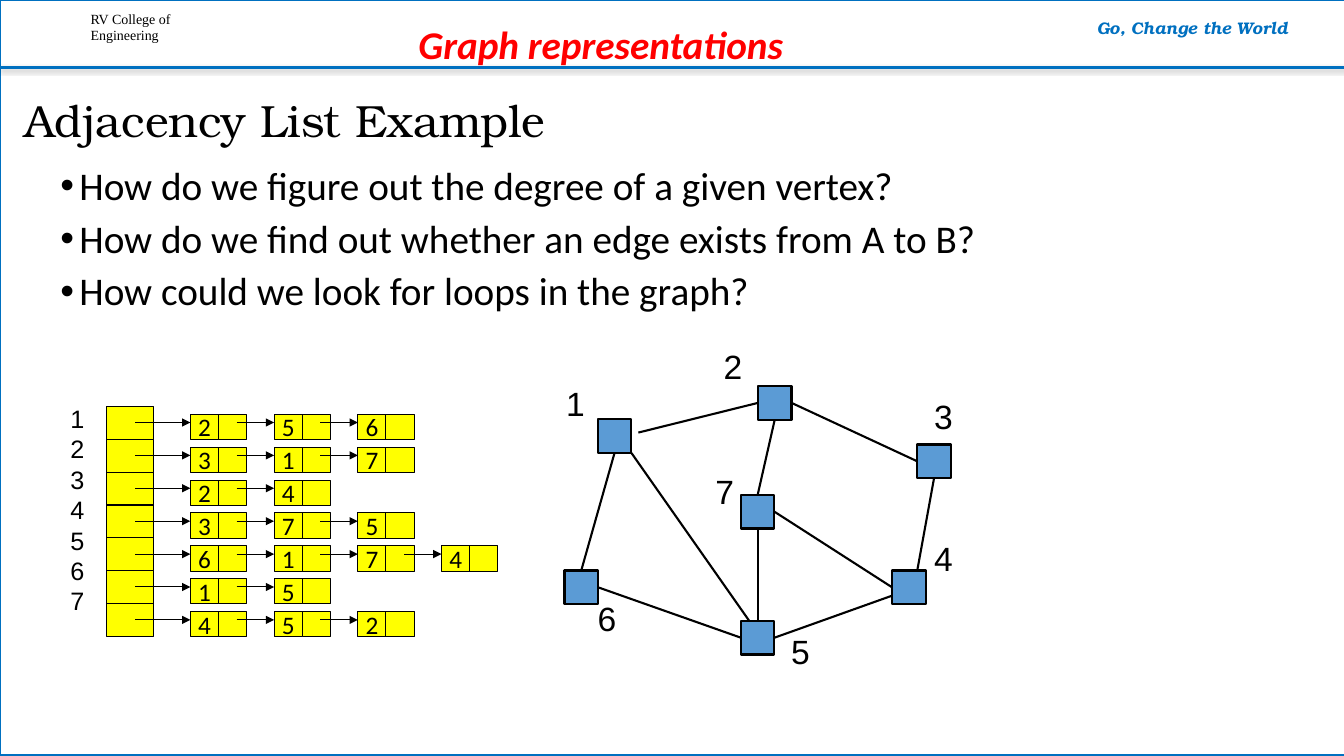
from lxml import etree
from pptx import Presentation
from pptx import util as u
from pptx.dml.color import RGBColor
from pptx.enum import shapes, text
from pptx.oxml import parse_xml
from pptx.oxml.ns import nsdecls, qn

Pt = u.Pt
rgb = RGBColor.from_string
BLACK, WHITE, BLUE, YELLOW = "000000", "FFFFFF", "0070C0", "FFFF00"

deck = Presentation()
deck.slide_width, deck.slide_height = Pt(960), Pt(540)
slide = deck.slides.add_slide(deck.slide_layouts[1])
title, questions = slide.shapes.title, slide.placeholders[1]


def write(holder, content, size, font="Calibri", color=BLACK, bold=False, italic=False,
          align="LEFT", anchor="TOP", spacing=1.0, gap=0, bullet=None, inset=None):
    frame = holder.text_frame
    frame.text = content
    frame.word_wrap = True
    frame.auto_size = text.MSO_AUTO_SIZE.NONE
    frame.vertical_anchor = text.MSO_ANCHOR[anchor]
    if inset is not None:
        frame.margin_left = frame.margin_right = Pt(inset)
        frame.margin_top = frame.margin_bottom = Pt(inset)
    for number, paragraph in enumerate(frame.paragraphs):
        if bullet:
            properties = paragraph._p.get_or_add_pPr()
            properties.set("marL", str(Pt(13.5)))
            properties.set("indent", str(-Pt(13.5)))
            etree.SubElement(properties, qn("a:buFont"), typeface="Arial")
            etree.SubElement(properties, qn("a:buChar"), char=bullet)
        paragraph.alignment = text.PP_ALIGN[align]
        paragraph.line_spacing = spacing
        paragraph.space_before = Pt(gap if number else 0)
        for run in paragraph.runs:
            run.font.name, run.font.size = font, Pt(size)
            run.font.bold, run.font.italic = bold, italic
            run.font.color.rgb = rgb(color)


def box(left, top, width, height, fill, line, weight):
    shape = slide.shapes.add_shape(shapes.MSO_SHAPE.RECTANGLE,
                                   Pt(left), Pt(top), Pt(width), Pt(height))
    shape.shadow.inherit = False
    shape.fill.solid()
    shape.fill.fore_color.rgb = rgb(fill)
    shape.line.color.rgb = rgb(line)
    shape.line.width = Pt(weight)
    return shape


# Page frame, behind everything else
page_frame = box(0, -0.5, 963.5, 540, WHITE, BLUE, 2)
title.element.addprevious(page_frame.element)

# Title and questions
title.left, title.top, title.width, title.height = Pt(10), Pt(67), Pt(648), Pt(90)
write(title, "Adjacency List Example", 32.2, font="TeX Gyre Bonum", spacing=0.9)
questions.left, questions.top = Pt(36), Pt(115.2)
questions.width, questions.height = Pt(838), Pt(389)
write(questions, "How do we figure out the degree of a given vertex?\n"
      "How do we find out whether an edge exists from A to B?\n"
      "How could we look for loops in the graph?",
      28, spacing=0.9, gap=7.5, bullet="•")

# Header texts, vertex index and graph labels
labels = [
    (57.6, 3.6, 106, 32, "RV College of\nEngineering", dict(size=10, font="Times New Roman")),
    (743.8, 9.4, 216, 21.6, "Go, Change the World",
     dict(size=12, font="TeX Gyre Bonum", color=BLUE, bold=True, italic=True, align="CENTER")),
    (181.4, 10.8, 495.4, 41, "Graph representations",
     dict(size=28, color="FF0000", bold=True, italic=True, align="CENTER")),
    (43.2, 284.4, 26, 175, "\n".join("1234567"),
     dict(size=18, font="Arial", spacing=Pt(21.7))),
]
vertex_labels = {1: (397.4, 270), 2: (509.8, 243.4), 3: (660.2, 279.4), 4: (660.2, 380.9),
                 5: (558, 447.1), 6: (419.8, 423.4), 7: (504, 332.6)}
for vertex, (left, top) in vertex_labels.items():
    labels.append((left, top, 28, 36, str(vertex), dict(size=24, font="Arial")))
for left, top, width, height, content, style in labels:
    label = slide.shapes.add_textbox(Pt(left), Pt(top), Pt(width), Pt(height))
    write(label, content, **style)

# Lines: x1, y1, x2, y2, colour, weight, arrowhead
lines = [(0, 48, 966, 48, BLUE, 2, False)]

# Adjacency list: one slot per vertex, followed by its chain of neighbours
neighbours = [[2, 5, 6], [3, 1, 7], [2, 4], [3, 7, 5], [6, 1, 7, 4], [1, 5], [4, 5, 2]]
ROW, STEP, CELL = 23.5, 59.8, 20.1
for row, chain in enumerate(neighbours):
    slot_top = 290.2 + row * ROW
    box(76.3, slot_top, 33.1, ROW, YELLOW, BLACK, 0.75)
    for column, neighbour in enumerate(chain):
        left = 136 + column * STEP
        value = box(left, slot_top + 5.7, CELL, 18, YELLOW, BLACK, 0.75)
        write(value, str(neighbour), 18, align="CENTER", anchor="MIDDLE", inset=0)
        box(left + CELL, slot_top + 5.7, CELL, 18, YELLOW, BLACK, 0.75)
        start = left - STEP + 33.1 if column else 96.5
        lines.append((start, slot_top + 11.6, left, slot_top + 11.6, BLACK, 0.75, True))

# Graph vertices
vertices = {1: (427, 299.5), 2: (541.4, 275.8), 3: (655.2, 317.5), 4: (637.2, 407.5),
            5: (529.2, 443.5), 6: (403.2, 407.5), 7: (529.2, 353.5)}
for left, top in vertices.values():
    box(left, top, 24, 24, "5B9BD5", BLACK, 1.5)

# Graph edges: vertex and the point on it, at both ends
LEFT, RIGHT, TOP, BOTTOM = (0, 12), (24, 12), (12, 0), (12, 24)
edges = [(1, (29, 9.5), 2, LEFT), (2, BOTTOM, 7, TOP), (2, RIGHT, 3, LEFT),
         (7, RIGHT, 4, LEFT), (3, BOTTOM, 4, (18, 0)), (7, BOTTOM, 5, TOP),
         (5, RIGHT, 4, (0, 18)), (6, RIGHT, 5, LEFT), (1, BOTTOM, 6, TOP),
         (1, (24, 24), 5, (6, 0))]
for a, (ax, ay), b, (bx, by) in edges:
    lines.append((vertices[a][0] + ax, vertices[a][1] + ay,
                  vertices[b][0] + bx, vertices[b][1] + by, BLACK, 1.5, False))

# Draw all lines; only the header rule casts a shadow
header_shadow = (f'<a:outerShdw {nsdecls("a")} blurRad="{Pt(3.1)}" dist="{Pt(1.6)}" dir="5400000" '
                 'rotWithShape="0"><a:srgbClr val="000000"><a:alpha val="38000"/></a:srgbClr>'
                 '</a:outerShdw>')
for x1, y1, x2, y2, color, weight, arrow in lines:
    link = slide.shapes.add_connector(shapes.MSO_CONNECTOR.STRAIGHT,
                                      Pt(x1), Pt(y1), Pt(x2), Pt(y2))
    link.line.color.rgb = rgb(color)
    link.line.width = Pt(weight)
    if arrow:
        etree.SubElement(link.line._get_or_add_ln(), qn("a:tailEnd"), type="triangle")
    effects = etree.SubElement(link.element.spPr, qn("a:effectLst"))
    if color == BLUE:
        effects.append(parse_xml(header_shadow))

deck.save("out.pptx")
